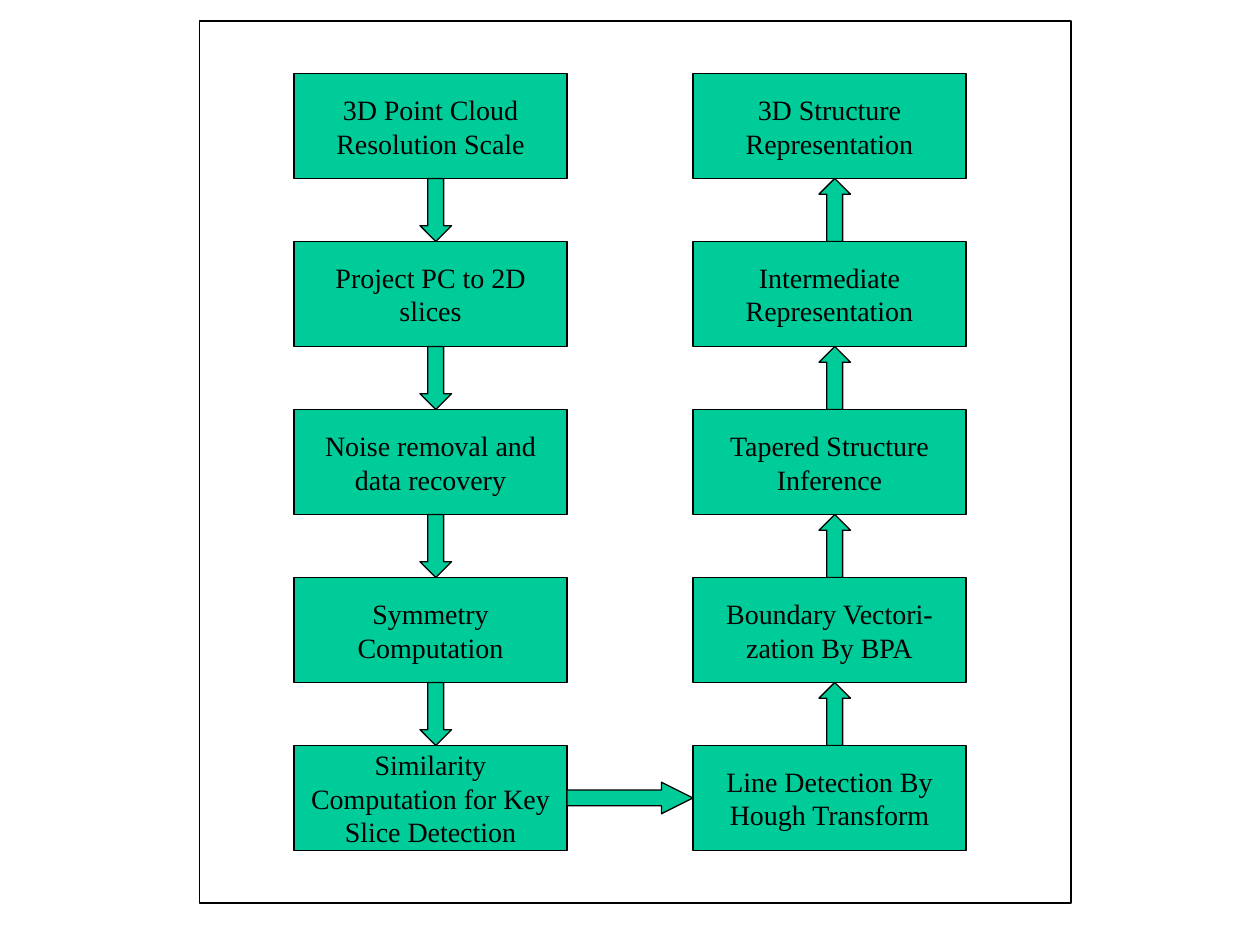
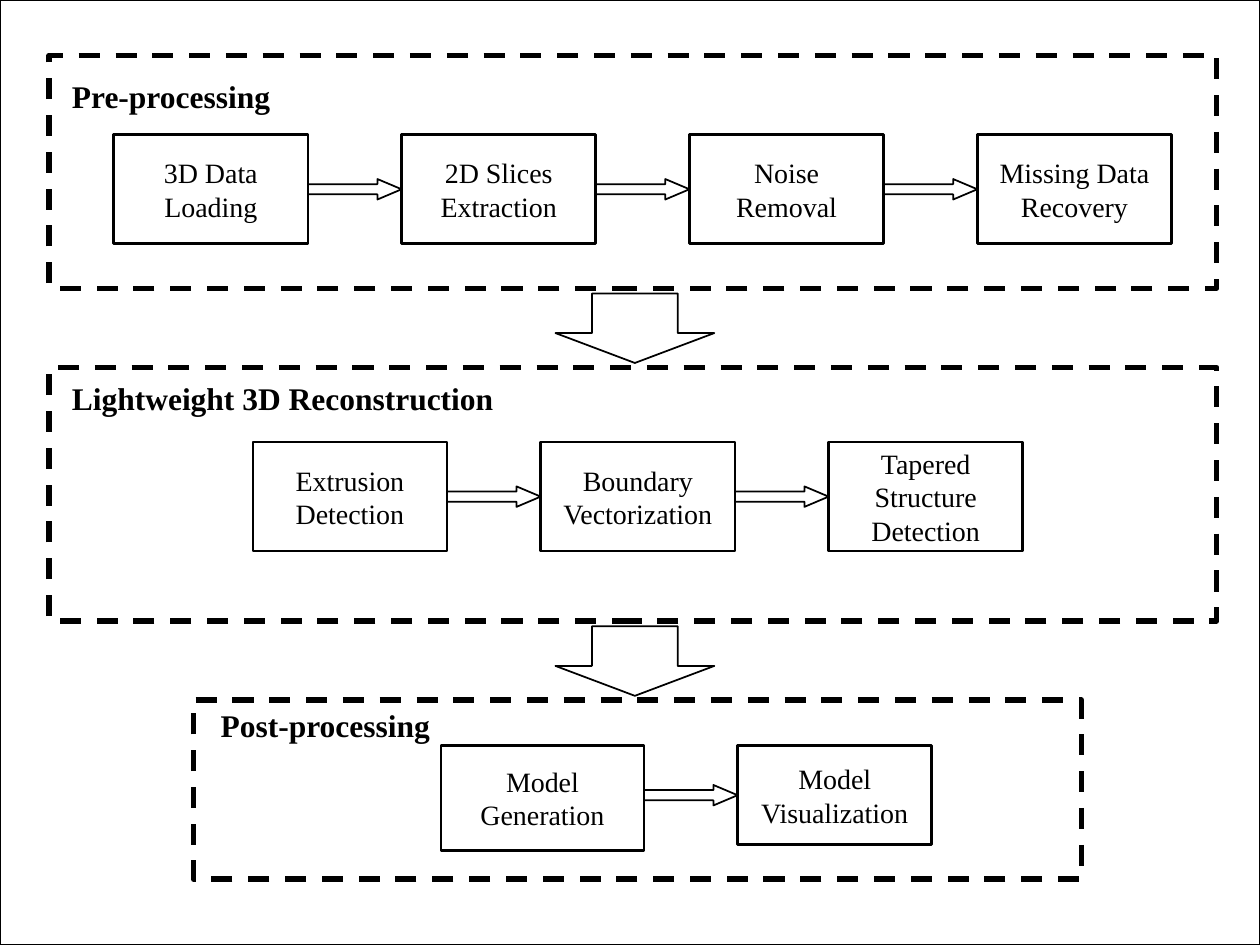
from pptx import Presentation
from pptx.dml.color import RGBColor
from pptx.enum.dml import MSO_LINE
from pptx.enum.shapes import MSO_SHAPE
from pptx.enum.text import MSO_ANCHOR, PP_ALIGN
from pptx.util import Pt

BLACK = RGBColor(0x00, 0x00, 0x00)
GREEN = RGBColor(0x00, 0xCC, 0x99)
FONT = "Times New Roman"

DOWN_STEPS = [
    "3D Point Cloud\nResolution Scale",
    "Project PC to 2D slices",
    "Noise removal and data recovery",
    "Symmetry Computation",
    "Similarity Computation for Key Slice Detection",
]
UP_STEPS = [
    "3D Structure Representation",
    "Intermediate Representation",
    "Tapered Structure Inference",
    "Boundary Vectori-zation By BPA",
    "Line Detection By Hough Transform",
]

# Pipeline slide: two columns of boxes joined by block arrows
COLUMNS = [
    (168, DOWN_STEPS, MSO_SHAPE.DOWN_ARROW),
    (396, UP_STEPS, MSO_SHAPE.UP_ARROW),
]
PIPELINE_FRAME = (114, 12, 498, 504)
FIRST_TOP, ROW_PITCH = 42, 96
BOX_WIDTH, BOX_HEIGHT = 156, 60
ARROW_THICKNESS, ARROW_INDENT = 18, 72

# Stages slide: panel is left, top, width, height; title is left, top, width;
# each step is text, width, height
STAGES = [
    {
        "title": ("Pre-processing", 34, 40.4, 156),
        "panel": (28, 31.6, 667.4, 133.1),
        "start": (65, 77),
        "steps": [
            ("3D Data\nLoading", 111, 62.3),
            ("2D Slices Extraction", 111, 62.3),
            ("Noise Removal", 111, 62.3),
            ("Missing Data Recovery", 111, 62.3),
        ],
    },
    {
        "title": ("Lightweight 3D Reconstruction", 34, 213, 281),
        "panel": (28, 210, 667.4, 144.9),
        "start": (144.5, 252.6),
        "steps": [
            ("Extrusion Detection", 111, 62.4),
            ("Boundary Vectorization", 111, 62.4),
            ("Tapered Structure Detection", 111, 62.4),
        ],
    },
    {
        "title": ("Post-processing", 119, 399.8, 156),
        "panel": (110.4, 400, 507.6, 102.4),
        "start": (252, 426),
        "steps": [
            ("Model Generation", 116, 60),
            ("Model Visualization", 111, 56.8),
        ],
    },
]
STEP_GAP, STEP_ARROW_HEIGHT = 53.5, 11.7
STAGE_ARROW_LEFT, STAGE_ARROW_WIDTH, STAGE_ARROW_HEIGHT = 317.4, 90.8, 39.7
STAGE_ARROW_GAP = 3
SLIDE_WIDTH, SLIDE_HEIGHT = 720, 540


def write(holder, text, size, align, bold=False):
    frame = holder.text_frame
    frame.word_wrap = True
    frame.text = text
    for para in frame.paragraphs:
        para.alignment = align
        for span in para.runs:
            span.font.name = FONT
            span.font.size = Pt(size)
            span.font.bold = bold
            span.font.color.rgb = BLACK


def add_outline(slide, kind, place, weight=0.75, fill=None, adjust=()):
    """Add a black-outlined preset shape, unfilled unless a colour is given."""
    shape = slide.shapes.add_shape(kind, *(Pt(length) for length in place))
    shape.shadow.inherit = False
    if fill is None:
        shape.fill.background()
    else:
        shape.fill.solid()
        shape.fill.fore_color.rgb = fill
    shape.line.color.rgb = BLACK
    shape.line.width = Pt(weight)
    for index, value in enumerate(adjust):
        shape.adjustments[index] = value
    return shape


def add_step(slide, text, place, weight=0.75, fill=None):
    box = add_outline(slide, MSO_SHAPE.RECTANGLE, place, weight, fill)
    box.text_frame.vertical_anchor = MSO_ANCHOR.MIDDLE
    write(box, text, 16, PP_ALIGN.CENTER)


def build_pipeline(slide):
    arrow_length = ROW_PITCH - BOX_HEIGHT
    for left, steps, arrow_kind in COLUMNS:
        for row, text in enumerate(steps):
            top = FIRST_TOP + row * ROW_PITCH
            add_step(slide, text, (left, top, BOX_WIDTH, BOX_HEIGHT), fill=GREEN)
            if row < len(steps) - 1:
                place = (left + ARROW_INDENT, top + BOX_HEIGHT,
                         ARROW_THICKNESS, arrow_length)
                add_outline(slide, arrow_kind, place, fill=GREEN, adjust=(0.5, 0.5))

    turn_left = COLUMNS[0][0] + BOX_WIDTH
    last_top = FIRST_TOP + (len(DOWN_STEPS) - 1) * ROW_PITCH
    turn_top = last_top + (BOX_HEIGHT - ARROW_THICKNESS) / 2
    place = (turn_left, turn_top, COLUMNS[1][0] - turn_left, ARROW_THICKNESS)
    add_outline(slide, MSO_SHAPE.RIGHT_ARROW, place, fill=GREEN, adjust=(0.5, 1))
    add_outline(slide, MSO_SHAPE.RECTANGLE, PIPELINE_FRAME)


def add_stage(slide, stage):
    panel = add_outline(slide, MSO_SHAPE.RECTANGLE, stage["panel"], 3)
    panel.line.dash_style = MSO_LINE.DASH

    title, title_left, title_top, title_width = stage["title"]
    label = slide.shapes.add_textbox(
        Pt(title_left), Pt(title_top), Pt(title_width), Pt(29))
    write(label, title, 18, PP_ALIGN.LEFT, bold=True)

    left, top = stage["start"]
    for index, (text, width, height) in enumerate(stage["steps"]):
        if index:
            place = (left - STEP_GAP, top + (height - STEP_ARROW_HEIGHT) / 2,
                     STEP_GAP, STEP_ARROW_HEIGHT)
            add_outline(slide, MSO_SHAPE.RIGHT_ARROW, place, 1, adjust=(0.5, 1.18))
        add_step(slide, text, (left, top, width, height), 1.5)
        left += width + STEP_GAP


def build_stages(slide):
    for stage in STAGES:
        add_stage(slide, stage)
    for stage in STAGES[:-1]:
        _, top, _, height = stage["panel"]
        place = (STAGE_ARROW_LEFT, top + height + STAGE_ARROW_GAP,
                 STAGE_ARROW_WIDTH, STAGE_ARROW_HEIGHT)
        add_outline(slide, MSO_SHAPE.DOWN_ARROW, place, 1, adjust=(0.54, 0.43))
    add_outline(slide, MSO_SHAPE.RECTANGLE, (0, 0, SLIDE_WIDTH, SLIDE_HEIGHT))


def main():
    deck = Presentation()
    deck.slide_width, deck.slide_height = Pt(SLIDE_WIDTH), Pt(SLIDE_HEIGHT)
    for build in (build_pipeline, build_stages):
        build(deck.slides.add_slide(deck.slide_layouts[6]))
    deck.save("out.pptx")


if __name__ == "__main__":
    main()
